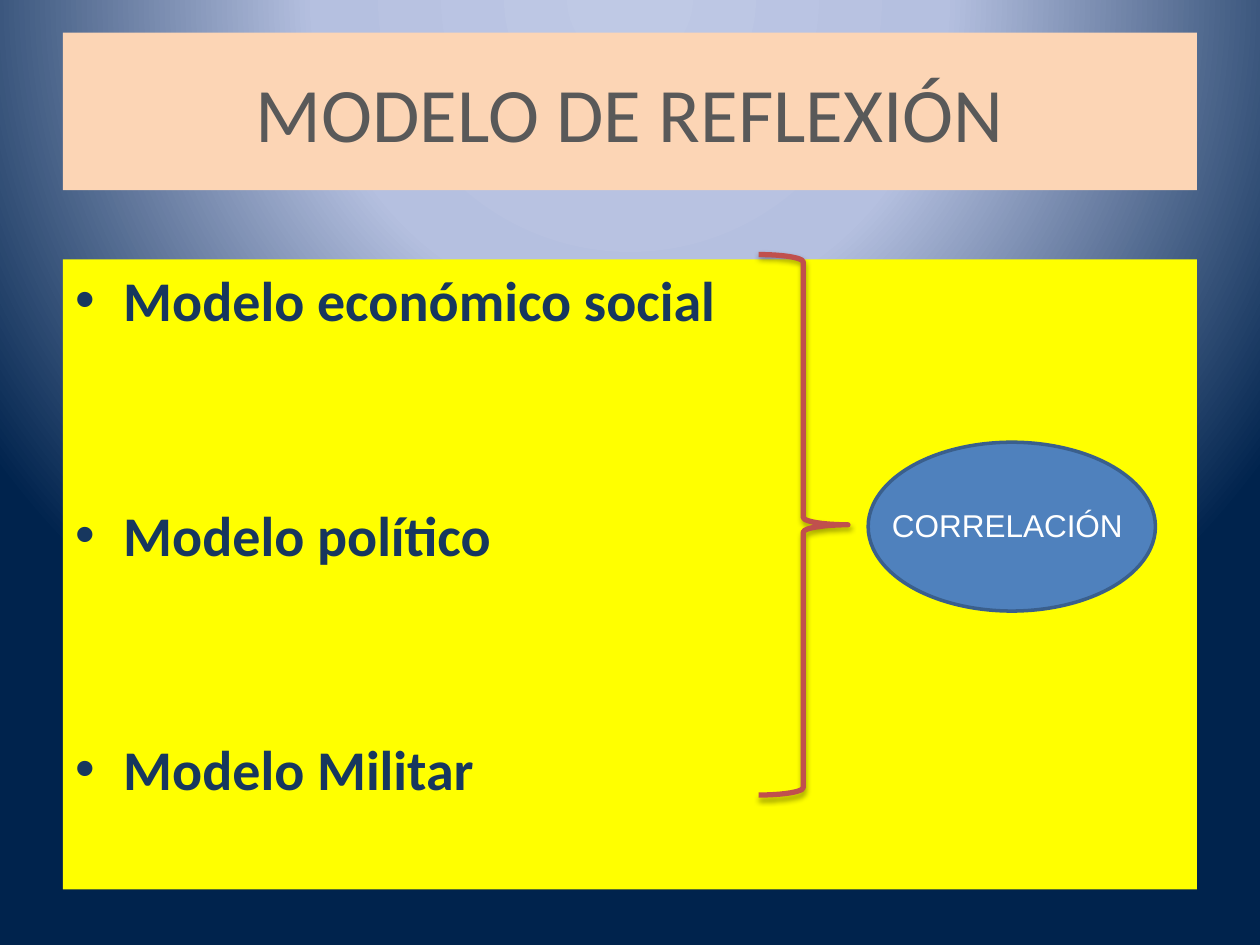
"""Builds the reflection model slide: three models joined by a brace to a correlation."""
from dataclasses import dataclass
from typing import Optional

from pptx import Presentation
from pptx.dml.color import RGBColor
from pptx.enum.shapes import MSO_SHAPE
from pptx.enum.text import MSO_ANCHOR, PP_ALIGN
from pptx.oxml import parse_xml
from pptx.oxml.ns import qn
from pptx.util import Inches, Pt

RECT, ELLIPSE, BRACE = MSO_SHAPE.RECTANGLE, MSO_SHAPE.OVAL, MSO_SHAPE.RIGHT_BRACE
TOP, MIDDLE = MSO_ANCHOR.TOP, MSO_ANCHOR.MIDDLE
LEFT, CENTER = PP_ALIGN.LEFT, PP_ALIGN.CENTER
NS = 'xmlns:a="http://schemas.openxmlformats.org/drawingml/2006/main"'


@dataclass(frozen=True)
class TextStyle:
    font: str
    size: float
    color: str
    bold: bool = False


@dataclass(frozen=True)
class Theme:
    title: TextStyle = TextStyle("Calibri", 44, "595959")
    body: TextStyle = TextStyle("Calibri", 32, "17375E", True)
    label: TextStyle = TextStyle("Arial", 18, "FFFFFF")
    title_fill: str = "FCD5B5"
    body_fill: str = "FFFF00"
    ellipse_fill: str = "4F81BD"
    ellipse_line: str = "3A5F8C"
    brace_line: str = "C0504D"
    shadow: str = "000000"
    background: tuple = ((0, "BFC9E5"), (40, "B5C0E0"), (100, "00234D"))
    bullet_gap: float = 95.5
    bullet_indent: float = 0.38


@dataclass(frozen=True)
class Box:
    kind: MSO_SHAPE
    left: float
    top: float
    width: float
    height: float
    fill: Optional[str] = None
    line: Optional[str] = None
    weight: float = 0


THEME = Theme()
TITLE = Box(RECT, 0.5, 0.26, 9, 1.25, THEME.title_fill)
BODY = Box(RECT, 0.5, 2.06, 9, 5, THEME.body_fill)
MODELS_BRACE = Box(BRACE, 6.02, 2.02, 0.71, 4.29, None, THEME.brace_line, 3)
CORRELATION = Box(ELLIPSE, 6.89, 3.51, 2.28, 1.34, THEME.ellipse_fill, THEME.ellipse_line, 2)
MODELS = ("Modelo económico social", "Modelo político", "Modelo Militar")


def paint_background(s) -> None:
    fill = s.background.fill
    fill.solid()
    stops = "".join(
        f'<a:gs pos="{pos * 1000}"><a:srgbClr val="{color}"/></a:gs>'
        for pos, color in THEME.background
    )
    gradient = parse_xml(
        f'<a:gradFill {NS} rotWithShape="1"><a:gsLst>{stops}</a:gsLst>'
        '<a:path path="circle"><a:fillToRect l="50000" t="-80000" r="50000" b="180000"/>'
        "</a:path></a:gradFill>"
    )
    solid = s.element.find(".//" + qn("a:solidFill"))
    solid.getparent().replace(solid, gradient)


def add_box(s, box: Box):
    sp = s.shapes.add_shape(
        box.kind, Inches(box.left), Inches(box.top), Inches(box.width), Inches(box.height)
    )
    sp.shadow.inherit = False
    if box.fill:
        sp.fill.solid()
        sp.fill.fore_color.rgb = RGBColor.from_string(box.fill)
    else:
        sp.fill.background()
    if box.line:
        sp.line.color.rgb = RGBColor.from_string(box.line)
        sp.line.width = Pt(box.weight)
    else:
        sp.line.fill.background()
    return sp


def add_shadow(sp) -> None:
    effects = sp.element.spPr.find(qn("a:effectLst"))
    effects.append(parse_xml(
        f'<a:outerShdw {NS} blurRad="{Pt(3.1)}" dist="{Pt(1.8)}" dir="5400000" rotWithShape="0">'
        f'<a:srgbClr val="{THEME.shadow}"><a:alpha val="35000"/></a:srgbClr></a:outerShdw>'
    ))


def add_run(p, text: str, style: TextStyle, align: PP_ALIGN = LEFT) -> None:
    p.alignment = align
    r = p.add_run()
    r.text = text
    r.font.name = style.font
    r.font.size = Pt(style.size)
    r.font.bold = style.bold
    r.font.color.rgb = RGBColor.from_string(style.color)


def add_bullets(tf, items: tuple[str, ...]) -> None:
    indent = Inches(THEME.bullet_indent)
    for i, text in enumerate(items):
        p = tf.add_paragraph() if i else tf.paragraphs[0]
        pPr = p._p.get_or_add_pPr()
        pPr.set("marL", str(indent))
        pPr.set("indent", str(-indent))
        pPr.append(parse_xml(f'<a:buFont {NS} typeface="Arial"/>'))
        pPr.append(parse_xml(f'<a:buChar {NS} char="•"/>'))
        if i:
            p.space_before = Pt(THEME.bullet_gap)
        add_run(p, text, THEME.body)


def main() -> None:
    prs = Presentation()
    prs.slide_width, prs.slide_height = Inches(10), Inches(7.5)
    s = prs.slides.add_slide(prs.slide_layouts[6])
    paint_background(s)

    tf = add_box(s, TITLE).text_frame
    tf.word_wrap = True
    tf.vertical_anchor = MIDDLE
    add_run(tf.paragraphs[0], "MODELO DE REFLEXIÓN", THEME.title, CENTER)

    tf = add_box(s, BODY).text_frame
    tf.word_wrap = True
    tf.vertical_anchor = TOP
    add_bullets(tf, MODELS)

    add_shadow(add_box(s, MODELS_BRACE))
    add_box(s, CORRELATION)
    label = s.shapes.add_textbox(Inches(6.98), Inches(3.97), Inches(2.12), Inches(0.4))
    label.text_frame.word_wrap = True
    add_run(label.text_frame.paragraphs[0], "CORRELACIÓN", THEME.label)
    prs.save("out.pptx")


if __name__ == "__main__":
    main()
